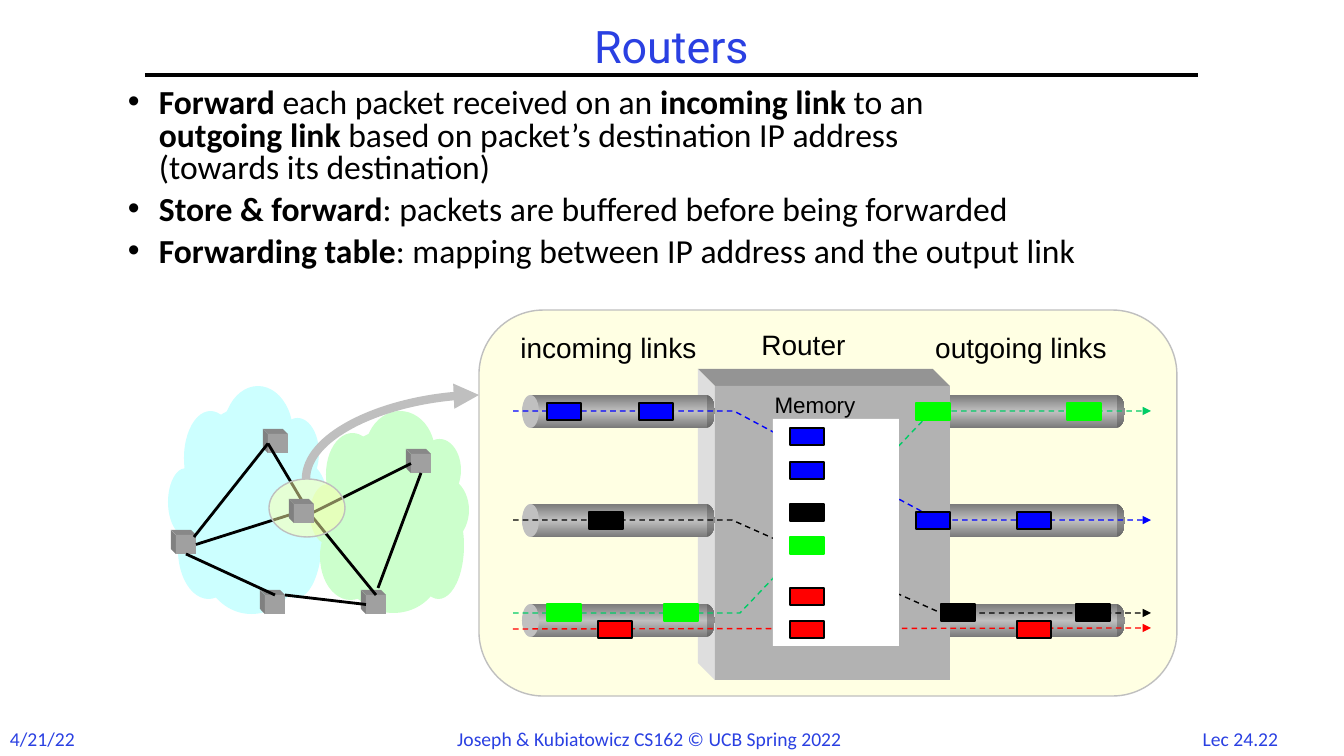
from copy import deepcopy

from lxml.etree import SubElement
from pptx import Presentation
from pptx.dml.color import RGBColor
from pptx.enum.dml import MSO_LINE
from pptx.enum.shapes import MSO_CONNECTOR, MSO_SHAPE
from pptx.enum.text import MSO_ANCHOR, PP_ALIGN
from pptx.oxml.ns import qn
from pptx.util import Pt

PX = 914400 / 100.8
BLACK = RGBColor(0x00, 0x00, 0x00)
WHITE = RGBColor(0xFF, 0xFF, 0xFF)
TITLE_BLUE = RGBColor(0x2A, 0x40, 0xE2)
BLUE = RGBColor(0x00, 0x00, 0xFF)
GREEN = RGBColor(0x00, 0xFF, 0x00)
LINK_GREEN = RGBColor(0x00, 0xCC, 0x66)
RED = RGBColor(0xFF, 0x00, 0x00)
YELLOW = RGBColor(0xFF, 0xFF, 0xAA)
SILVER = RGBColor(0xBF, 0xBF, 0xBF)
CYAN_CLOUD = RGBColor(0xCC, 0xFF, 0xFF)
GREEN_CLOUD = RGBColor(0xCC, 0xFF, 0xCC)
PIPE_LIGHT = RGBColor(0xC0, 0xC0, 0xC0)
PIPE_DARK = RGBColor(0x7A, 0x7A, 0x7A)
CAP_LIGHT = RGBColor(0x91, 0x91, 0x91)
CAP_DARK = RGBColor(0x67, 0x67, 0x67)
# Front, top and left faces
ROUTER_FACES = RGBColor(0xB2, 0xB2, 0xB2), RGBColor(0x94, 0x94, 0x94), RGBColor(0xDE, 0xDE, 0xDE)
NODE_FACES = RGBColor(0xA0, 0xA0, 0xA0), RGBColor(0x88, 0x88, 0x88), RGBColor(0x80, 0x80, 0x80)

presentation = Presentation()
presentation.slide_width = round(1344 * PX)
presentation.slide_height = round(756 * PX)
slide = presentation.slides.add_slide(presentation.slide_layouts[6])


def add_block(kind, x, y, width, height, fill, line=None, edge=None, opacity=None):
    """Add a shape; edge turns the fill into an edge-fill-edge gradient."""
    shape = slide.shapes.add_shape(kind, *(round(v * PX) for v in (x, y, width, height)))
    shape.shadow.inherit = False
    if edge is not None:
        shape.fill.gradient()
        shape.fill.gradient_angle = 90
        stop_list = shape._element.spPr.find(".//" + qn("a:gsLst"))
        stop_list.append(deepcopy(stop_list[0]))
        for stop, position, colour in zip(shape.fill.gradient_stops, (0, 0.5, 1), (edge, fill, edge)):
            stop.position = position
            stop.color.rgb = colour
    else:
        shape.fill.solid()
        shape.fill.fore_color.rgb = fill
    if opacity:
        colour_element = shape._element.spPr.find(".//" + qn("a:srgbClr"))
        SubElement(colour_element, qn("a:alpha"), val=str(opacity * 1000))
    if line is None:
        shape.line.fill.background()
    else:
        shape.line.color.rgb = line
        shape.line.width = Pt(1)
    return shape


def add_prism(x, y, width, height, depth, faces):
    """Add a box seen from the upper left and return its front face."""
    front, top, left = faces
    back = (x - depth, y - depth)
    top_points = [back, (x + width - depth, y - depth), (x + width, y), (x, y)]
    left_points = [back, (x, y), (x, y + height), (x - depth, y + height - depth)]
    for points, colour in ((top_points, top), (left_points, left)):
        builder = slide.shapes.build_freeform(*points[0], scale=PX)
        builder.add_line_segments(points[1:], close=True)
        face = builder.convert_to_shape()
        face.shadow.inherit = False
        face.fill.solid()
        face.fill.fore_color.rgb = colour
        face.line.fill.background()
    return add_block(MSO_SHAPE.RECTANGLE, x, y, width, height, front)


# Yellow panel, pipes and router; the outgoing pipes start behind the router
panel = add_block(MSO_SHAPE.ROUNDED_RECTANGLE, 479, 310, 698, 386, YELLOW, SILVER, opacity=32)
panel.adjustments[0] = 0.167
for pipe_x in (932, 522):
    for pipe_y in (395, 504, 604):
        add_block(MSO_SHAPE.OVAL, pipe_x + 176, pipe_y, 17, 33, CAP_LIGHT, edge=CAP_DARK)
        add_block(MSO_SHAPE.RECTANGLE, pipe_x + 9, pipe_y, 176, 33, PIPE_LIGHT, edge=PIPE_DARK)
        add_block(MSO_SHAPE.OVAL, pipe_x, pipe_y, 17, 33, PIPE_LIGHT)
    if pipe_x == 932:
        add_prism(715, 386, 235, 294, 17, ROUTER_FACES)

# Clouds; the green one is the cyan one moved right and flattened
cloud_ovals = [
    (223, 386, 70, 94), (184, 411, 53, 94), (168, 468, 36, 68),
    (178, 501, 61, 98), (204, 515, 95, 99), (276, 418, 43, 70),
    (276, 461, 51, 74), (271, 477, 51, 121), (179, 406, 141, 204),
]
for x, y, width, height in cloud_ovals:
    add_block(MSO_SHAPE.OVAL, x, y, width, height, CYAN_CLOUD)
for x, y, width, height in cloud_ovals:
    add_block(MSO_SHAPE.OVAL, x + 142, round(411 + (y - 386) * 0.886), width,
              round(height * 0.886), GREEN_CLOUD)

# Network nodes
nodes = {}
for name, x, y in (("north east", 411, 454), ("south east", 366, 595), ("north", 268, 434),
                   ("west", 176, 535), ("south", 265, 595)):
    nodes[name] = add_prism(x, y, 20, 19, 5, NODE_FACES)

# Network links: each end is a point or a node with its connection site
links = [
    ((310, 514), ("south east", 0)),
    (("centre", 0), ("north", 1)),
    ((310, 514), ("north east", 1)),
    ((194, 537), ("north", 1)),
    (("west", 2), ("south", 0)),
    (("west", 3), ("centre", 1)),
    ((285, 595), ("south east", 1)),
    ((378, 588), ("north east", 2)),
]
link_connectors = []
for ends in links:
    points = [(0, 0) if end[0] in ("centre", *nodes) else end for end in ends]
    connector = slide.shapes.add_connector(
        MSO_CONNECTOR.STRAIGHT, *(round(v * PX) for point in points for v in point))
    connector.line.color.rgb = BLACK
    connector.line.width = Pt(2)
    SubElement(connector._element.spPr, qn("a:effectLst"))
    link_connectors.append(connector)

# Highlighted node, then all joins
add_block(MSO_SHAPE.OVAL, 269, 479, 76, 58, YELLOW, SILVER, opacity=49)
nodes["centre"] = add_prism(294, 504, 20, 19, 5, NODE_FACES)
for connector, (begin, end) in zip(link_connectors, links):
    if begin[0] in nodes:
        connector.begin_connect(nodes[begin[0]], begin[1])
    connector.end_connect(nodes[end[0]], end[1])

# Title rule, zoom arrow and packet routes: points, colour, width, arrowhead
strokes = [
    ([(145, 75), (1198, 75)], BLACK, 3, None),
    ([(479, 395), (306, 479)], SILVER, 6, "a:headEnd"),
    ([(513, 629), (1151, 628)], RED, 1, "a:tailEnd"),
    ([(513, 613), (740, 613), (932, 411), (1151, 411)], LINK_GREEN, 1, "a:tailEnd"),
    ([(513, 411), (734, 411), (938, 520), (1151, 520)], BLUE, 1, "a:tailEnd"),
    ([(513, 520), (732, 520), (941, 613), (1151, 613)], BLACK, 1, "a:tailEnd"),
]
for points, colour, width, arrowhead in strokes:
    if len(points) == 2:
        curved = arrowhead == "a:headEnd"
        stroke = slide.shapes.add_connector(
            MSO_CONNECTOR.CURVE if curved else MSO_CONNECTOR.STRAIGHT,
            *(round(v * PX) for point in points for v in point))
        if curved:
            stroke._element.spPr.find(qn("a:prstGeom")).set("prst", "curvedConnector2")
    else:
        builder = slide.shapes.build_freeform(*points[0], scale=PX)
        builder.add_line_segments(points[1:], close=False)
        stroke = builder.convert_to_shape()
        stroke.fill.background()
    stroke.line.color.rgb = colour
    stroke.line.width = Pt(width)
    if width == 1:
        stroke.line.dash_style = MSO_LINE.DASH
    if arrowhead:
        SubElement(stroke._element.spPr.find(qn("a:ln")), qn(arrowhead), type="triangle")
    SubElement(stroke._element.spPr, qn("a:effectLst"))

# Memory and packets
add_block(MSO_SHAPE.RECTANGLE, 773, 419, 126, 227, WHITE)
packets = [
    (BLUE, BLACK, [(547, 403), (639, 403), (790, 428), (790, 462), (916, 512), (1017, 512)]),
    (BLACK, BLACK, [(589, 512), (790, 504), (941, 604), (1076, 604)]),
    (GREEN, GREEN, [(547, 604), (664, 604), (790, 537), (916, 403), (1067, 403)]),
    (RED, BLACK, [(598, 621), (790, 621), (790, 588), (1017, 621)]),
]
for fill, line, corners in packets:
    for x, y in corners:
        add_block(MSO_SHAPE.RECTANGLE, x, y, 34, 17, fill, line)

# Title, labels, footer and bullets; ** switches bold, | breaks a line
bullets = [
    "**Forward** each packet received on an **incoming link **to an|**outgoing link **"
    "based on packet’s destination IP address|(towards its destination)",
    "**Store & forward**: packets are buffered before being forwarded",
    "**Forwarding table**: mapping between IP address and the output link",
]
texts = [
    (["Routers"], 145, 17, 1053, 58, "Roboto", 32, TITLE_BLUE),
    (bullets, 118, 84, 1109, 203, "Calibri", 24, BLACK),
    (["incoming links"], 510, 326, 197, 44, "Arial", 20, BLACK),
    (["Router"], 751, 323, 105, 44, "Arial", 20, BLACK),
    (["outgoing links"], 925, 326, 192, 44, "Arial", 20, BLACK),
    (["Memory"], 764, 386, 102, 37, "Arial", 16, BLACK),
    (["4/21/22"], 0, 722, 86, 34, "Calibri", 14, TITLE_BLUE),
    (["Joseph & Kubiatowicz CS162 © UCB Spring 2022"], 441, 722, 417, 34, "Calibri", 14, TITLE_BLUE),
    (["Lec 24.22"], 1186, 722, 109, 34, "Calibri", 14, TITLE_BLUE),
]
for lines, x, y, width, height, font_name, size, colour in texts:
    box = slide.shapes.add_textbox(*(round(v * PX) for v in (x, y, width, height)))
    frame = box.text_frame
    frame.word_wrap = size > 20
    if font_name == "Roboto":
        frame.vertical_anchor = MSO_ANCHOR.MIDDLE
    for index, line in enumerate(lines):
        paragraph = frame.paragraphs[0] if index == 0 else frame.add_paragraph()
        paragraph.alignment = PP_ALIGN.LEFT if lines is bullets or x == 0 else PP_ALIGN.CENTER
        if lines is bullets:
            paragraph.line_spacing = 0.8
            paragraph.space_before = Pt(7.2 if index else 0)
            properties = paragraph._p.get_or_add_pPr()
            properties.set("marL", str(round(31 * PX)))
            properties.set("indent", str(round(-31 * PX)))
            SubElement(properties, qn("a:buFont"), typeface="Arial")
            SubElement(properties, qn("a:buChar"), char="•")
        for part, words in enumerate(line.split("**")):
            for piece, text in enumerate(words.split("|")):
                if piece:
                    paragraph.add_line_break()
                if text:
                    run = paragraph.add_run()
                    run.text = text
                    if part % 2:
                        run.font.bold = True
        paragraph.font.name = font_name
        paragraph.font.size = Pt(size)
        paragraph.font.color.rgb = colour

presentation.save("out.pptx")
